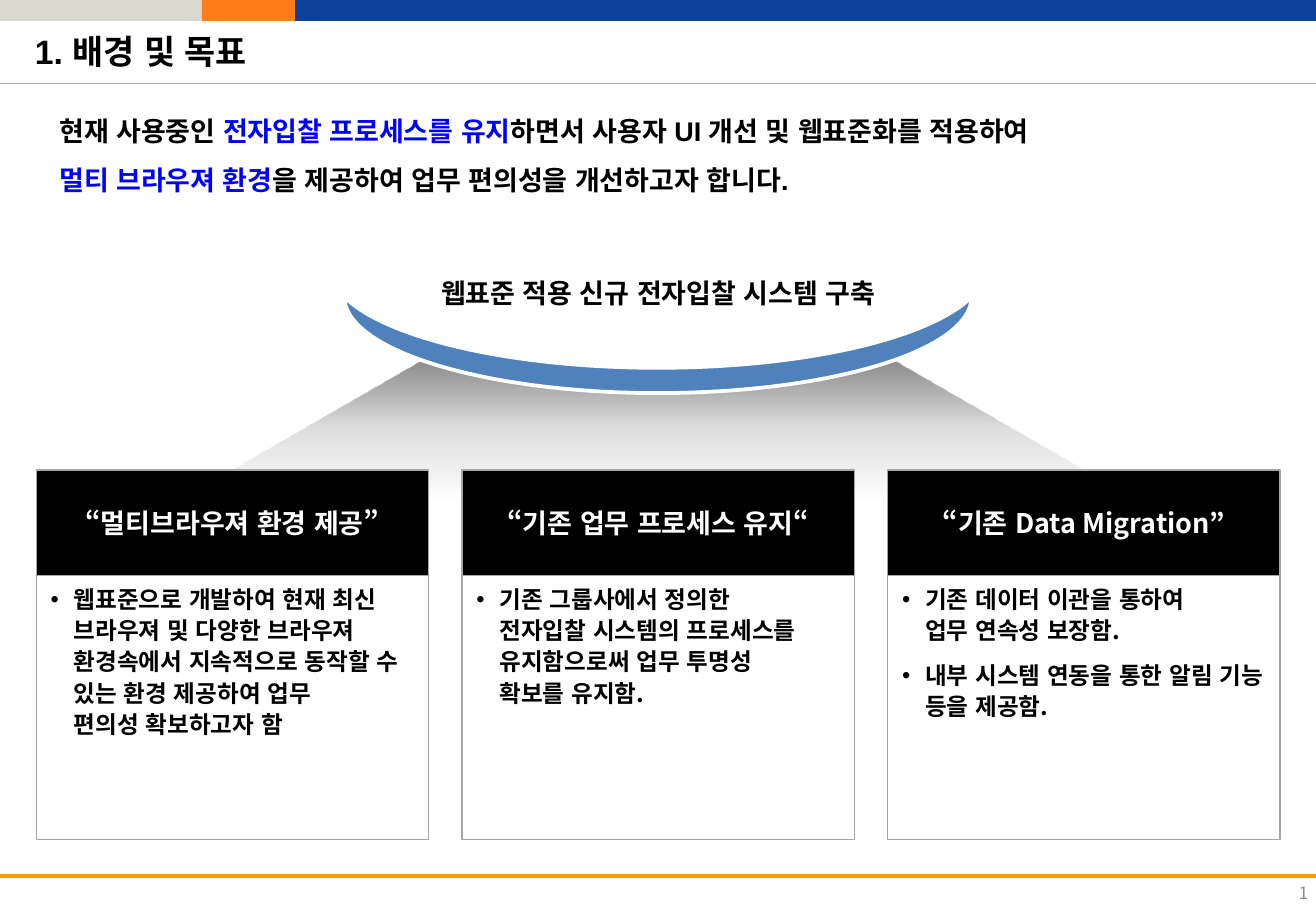
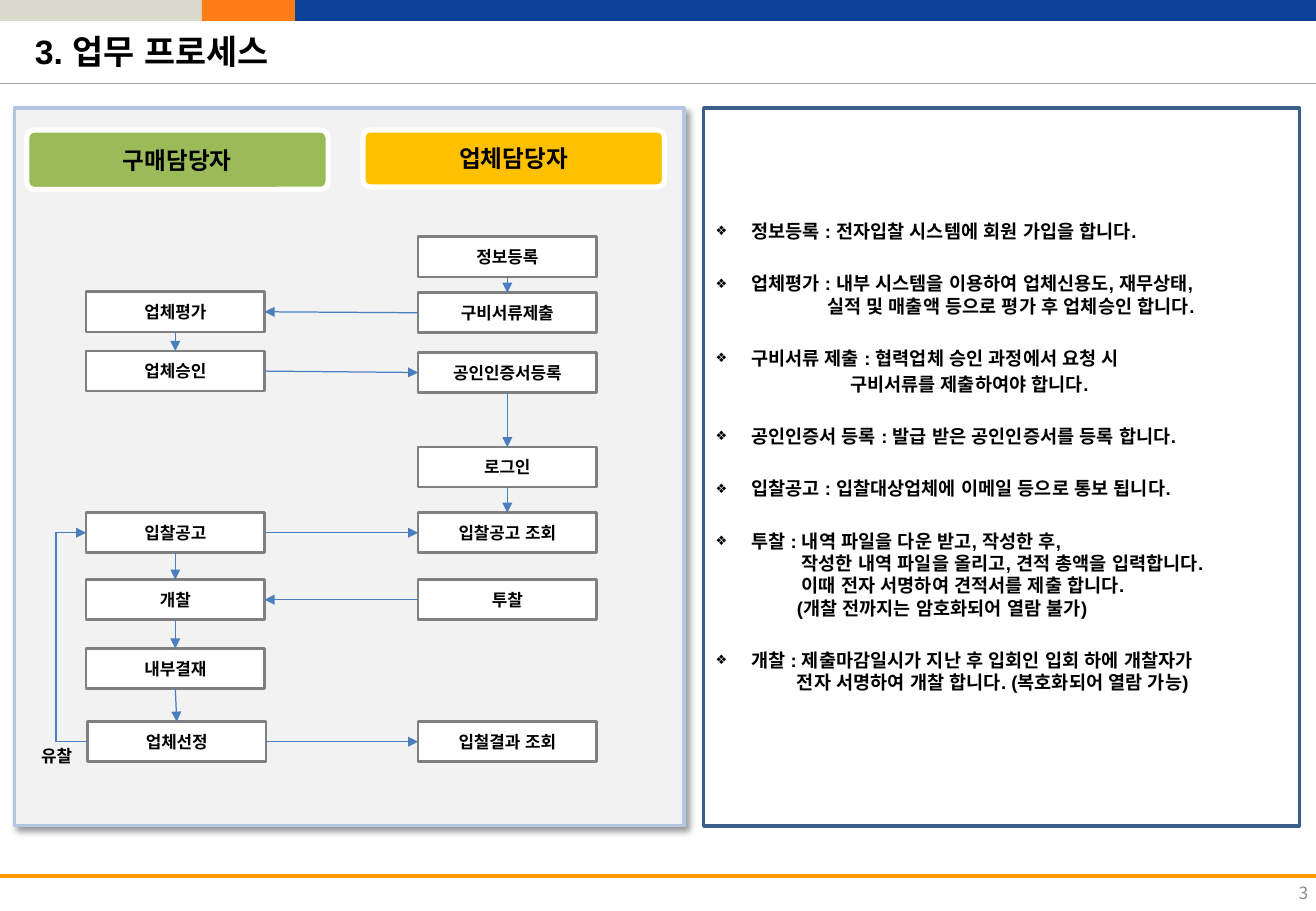
from lxml.etree import SubElement, fromstring
from pptx import Presentation
from pptx.dml.color import RGBColor
from pptx.enum.dml import MSO_LINE
from pptx.enum.lang import MSO_LANGUAGE_ID
from pptx.enum.shapes import MSO_CONNECTOR, MSO_SHAPE
from pptx.enum.text import MSO_ANCHOR, MSO_AUTO_SIZE, PP_ALIGN
from pptx.oxml.ns import nsdecls, qn
from pptx.util import Cm, Pt

WIDE, HIGH = 27.51, 19.05
ARIAL, NOTO = "Arial", "Noto Sans CJK KR"
COLORS = {
    "black": "000000", "white": "FFFFFF", "blue": "0000FF", "gray": "8C8C8C",
    "rule": "A6A6A6", "sand": "D9D9CE", "orange": "FE7D19", "navy": "0C419A",
    "foot": "FF9900", "fan": "858585", "moon": "4F81BD", "panel": "F2F2F2",
    "edge": "B0C6E1", "frame": "3A5F8C", "green": "9BBB59", "gold": "FFC000",
    "box": "808080", "arrow": "4B7EBC",
}
TOP, LEFT, BOTTOM, RIGHT = range(4)

CARDS = [
    ("“멀티브라우져 환경 제공”",
     ["웹표준으로 개발하여 현재 최신 브라우져 및 다양한 브라우져 환경속에서 "
      "지속적으로 동작할 수 있는 환경 제공하여 업무\n편의성 확보하고자 함"]),
    ("“기존 업무 프로세스 유지“",
     ["기존 그룹사에서 정의한\n전자입찰 시스템의 프로세스를\n"
      "유지함으로써 업무 투명성\n확보를 유지함."]),
    ("“기존 Data Migration”",
     ["기존 데이터 이관을 통하여\n업무 연속성 보장함.",
      "내부 시스템 연동을 통한 알림 기능 등을 제공함."]),
]

# Left edge and top of each step
STEPS = {
    "정보등록": (8.74, 4.95), "구비서류제출": (8.74, 6.12),
    "공인인증서등록": (8.74, 7.37), "로그인": (8.74, 9.35),
    "입찰공고 조회": (8.74, 10.72), "투찰": (8.74, 12.12),
    "입철결과 조회": (8.74, 15.09),
    "업체평가": (1.8, 6.1), "업체승인": (1.8, 7.34), "입찰공고": (1.8, 10.72),
    "개찰": (1.8, 12.12), "내부결재": (1.8, 13.56), "업체선정": (1.83, 15.09),
}
LINKS = [
    ("정보등록", BOTTOM, "구비서류제출", TOP),
    ("구비서류제출", LEFT, "업체평가", RIGHT),
    ("업체평가", BOTTOM, "업체승인", TOP),
    ("업체승인", RIGHT, "공인인증서등록", LEFT),
    ("공인인증서등록", BOTTOM, "로그인", TOP),
    ("로그인", BOTTOM, "입찰공고 조회", TOP),
    ("입찰공고", RIGHT, "입찰공고 조회", LEFT),
    ("입찰공고", BOTTOM, "개찰", TOP),
    ("투찰", LEFT, "개찰", RIGHT),
    ("개찰", BOTTOM, "내부결재", TOP),
    ("내부결재", BOTTOM, "업체선정", TOP),
    ("업체선정", RIGHT, "입철결과 조회", LEFT),
]

# Each term, then its further lines as (text, indent, space before)
TERMS = [
    ("정보등록 : 전자입찰 시스템에 회원 가입을 합니다.", []),
    ("업체평가 : 내부 시스템을 이용하여 업체신용도, 재무상태,",
     [("실적 및 매출액 등으로 평가 후 업체승인 합니다.", 2.33, 0)]),
    ("구비서류 제출 : 협력업체 승인 과정에서 요청 시",
     [("구비서류를 제출하여야 합니다.", 2.81, 2.2)]),
    ("공인인증서 등록 : 발급 받은 공인인증서를 등록 합니다.", []),
    ("입찰공고 : 입찰대상업체에 이메일 등으로 통보 됩니다.", []),
    ("투찰 : 내역 파일을 다운 받고, 작성한 후,",
     [("작성한 내역 파일을 올리고, 견적 총액을 입력합니다.", 1.8, 0),
      ("이때 전자 서명하여 견적서를 제출 합니다.", 1.8, 0),
      ("(개찰 전까지는 암호화되어 열람 불가)", 1.7, 0)]),
    ("개찰 : 제출마감일시가 지난 후 입회인 입회 하에 개찰자가",
     [("전자 서명하여 개찰 합니다. (복호화되어 열람 가능)", 1.7, 0)]),
]


def rgb(name):
    return RGBColor.from_string(COLORS[name])


def place(shape, x, y, w, h):
    shape.left, shape.top, shape.width, shape.height = map(Cm, (x, y, w, h))


def setup(shape, anchor=MSO_ANCHOR.MIDDLE, wrap=True, inset=(0.25, 0.13, 0.25, 0.13)):
    frame = shape.text_frame
    frame.auto_size = MSO_AUTO_SIZE.NONE
    frame.word_wrap, frame.vertical_anchor = wrap, anchor
    (frame.margin_left, frame.margin_top,
     frame.margin_right, frame.margin_bottom) = map(Cm, inset)
    return frame


def write(frame, text, size=10, font=NOTO, color="black", bold=True,
          align=PP_ALIGN.LEFT, line=None, gap=0, mark=None, zoom=100,
          margin=0, indent=0):
    """Add a paragraph; text is a string or a list of (string, colour)."""
    first = not frame.text
    para = frame.paragraphs[0] if first else frame.add_paragraph()
    props = para._p.get_or_add_pPr()
    props.set("marL", str(Cm(margin)))
    props.set("indent", str(Cm(indent)))
    if mark:
        SubElement(props, qn("a:buSzPct")).set("val", str(zoom * 1000))
        SubElement(props, qn("a:buFont")).set("typeface", ARIAL)
        SubElement(props, qn("a:buChar")).set("char", mark)
    else:
        SubElement(props, qn("a:buNone"))
    para.alignment = align
    para.space_before = Pt(0 if first else gap)
    if line:
        para.line_spacing = Pt(line)
    for piece, tone in [(text, color)] if isinstance(text, str) else text:
        for i, part in enumerate(piece.split("\n")):
            if i:
                para.add_line_break()
            run = para.add_run()
            run.text = part
            style = run.font
            style.size, style.bold, style.name = Pt(size), bold, font
            style.language_id = MSO_LANGUAGE_ID.KOREAN
            style.color.rgb = rgb(tone)
            SubElement(run._r.rPr, qn("a:ea")).set("typeface", NOTO)


def paint(shape, fill=None, edge=None, width=0.75):
    if fill:
        shape.fill.solid()
        shape.fill.fore_color.rgb = rgb(fill)
    else:
        shape.fill.background()
    if edge:
        shape.line.color.rgb = rgb(edge)
        shape.line.width = Pt(width)
    else:
        shape.line.fill.background()


def draw(slide, kind, x, y, w, h, fill=None, edge=None, width=0.75, adjust=None):
    shape = slide.shapes.add_shape(kind, Cm(x), Cm(y), Cm(w), Cm(h))
    shape.shadow.inherit = False
    paint(shape, fill, edge, width)
    if adjust is not None:
        shape.adjustments[0] = adjust
    return shape


def label(slide, x, y, w, h, text, wrap=True, inset=(0.1, 0.1, 0.1, 0.1), **style):
    box = slide.shapes.add_textbox(Cm(x), Cm(y), Cm(w), Cm(h))
    write(setup(box, wrap=wrap, inset=inset), text, **style)


def join(slide, start, end, color, width, kind=MSO_CONNECTOR.STRAIGHT, head=False):
    """Draw a line between two points or two (shape, site) pairs."""
    line = slide.shapes.add_connector(kind, 0, 0, 0, 0)
    if head:
        line.begin_connect(*start)
        line.end_connect(*end)
    else:
        line.begin_x, line.begin_y = map(Cm, start)
        line.end_x, line.end_y = map(Cm, end)
    line.line.color.rgb = rgb(color)
    line.line.width = Pt(width)
    line.line.dash_style = MSO_LINE.SOLID
    props = line.element.spPr
    if head:
        SubElement(props.find(qn("a:ln")), qn("a:tailEnd")).set("type", "triangle")
    SubElement(props, qn("a:effectLst"))
    return line


def brand(slide):
    """Draw bands and rules, and move them to the shared layout."""
    parts = [draw(slide, MSO_SHAPE.RECTANGLE, x, 0, WIDE - x, 0.44, fill)
             for x, fill in ((0, "sand"), (4.22, "orange"), (6.17, "navy"))]
    parts += [join(slide, (0, y), (WIDE, y), color, width)
              for y, color, width in ((1.73, "rule", 0.25), (18.31, "foot", 2.5))]
    for i, part in enumerate(parts):
        part.element.xpath(".//p:cNvPr")[0].set("id", str(20 + i))
        slide.slide_layout.shapes.element.append(part.element)


def start(deck, title, page):
    slide = deck.slides.add_slide(deck.slide_layouts[1])
    head = slide.shapes.title
    place(head, 0, 0.5, 27.48, 1.12)
    write(setup(head), title, size=20, font=ARIAL, indent=0.48)
    label(slide, 21.2, 18.16, 6.31, 1.02, page, inset=(0.25, 0.13, 0.16, 0.13),
          color="gray", bold=False, align=PP_ALIGN.RIGHT)
    return slide, slide.placeholders[1]


def shade(shape):
    """Fade the fan from solid at the top to clear."""
    stops = "".join(
        f'<a:gs pos="{pos}000"><a:srgbClr val="{COLORS["fan"]}">'
        f'<a:alpha val="{alpha}000"/></a:srgbClr></a:gs>'
        for pos, alpha in ((0, 100), (50, 27), (100, 0)))
    props = shape.element.spPr
    old = props.find(qn("a:noFill"))
    props.replace(old, fromstring(
        f'<a:gradFill {nsdecls("a")} rotWithShape="1"><a:gsLst>{stops}</a:gsLst>'
        '<a:lin ang="5400000" scaled="0"/></a:gradFill>'))


def lift(shape):
    """Give the panel a soft shadow."""
    glow = SubElement(shape.element.spPr.find(qn("a:effectLst")), qn("a:outerShdw"),
                      blurRad=str(Pt(4)), dist=str(Pt(3)), dir="2700000",
                      algn="tl", rotWithShape="0")
    tone = SubElement(glow, qn("a:srgbClr"), val=COLORS["black"])
    SubElement(tone, qn("a:alpha"), val="40000")


def card(slide, x, title, points):
    body = draw(slide, MSO_SHAPE.RECTANGLE, x, 12.04, 8.2, 5.51, edge="rule")
    frame = setup(body, MSO_ANCHOR.TOP, inset=(0.3, 0.13, 0.2, 0.13))
    for point in points:
        write(frame, point, size=14, line=18.5, gap=8, mark="•",
              margin=0.48, indent=-0.48)
    head = draw(slide, MSO_SHAPE.RECTANGLE, x, 9.83, 8.2, 2.21, "black", "rule")
    write(setup(head, inset=(0.2, 0.13, 0.2, 0.13)), title, size=16,
          color="white", align=PP_ALIGN.CENTER)


def goals(deck):
    slide, intro = start(deck, "1. 배경 및 목표", "1")
    brand(slide)
    place(intro, 0.99, 2.13, 24.77, 2.2)
    frame = setup(intro, MSO_ANCHOR.TOP)
    for runs in (
        [("현재 사용중인 ", "black"), ("전자입찰 프로세스를 유지", "blue"),
         ("하면서 사용자 UI 개선 및 웹표준화를 적용하여", "black")],
        [("멀티 브라우져 환경", "blue"),
         ("을 제공하여 업무 편의성을 개선하고자 합니다.", "black")],
    ):
        write(frame, runs, size=16, font=ARIAL, line=23, gap=6)
    # Fan and cards
    shade(draw(slide, MSO_SHAPE.TRAPEZOID, 3.76, 7.44, 19.99, 3, adjust=1.75))
    for i, (title, points) in enumerate(CARDS):
        card(slide, 0.76 + 8.9 * i, title, points)
    # Crescent
    for y, fill in ((0.41, "white"), (0.66, "moon")):
        draw(slide, MSO_SHAPE.MOON, 12.75, y, 2.01, 13.11, fill, "white", 2.25,
             0.263).rotation = 270
    label(slide, 7.09, 4.78, 13.34, 2.46, "웹표준 적용 신규 전자입찰 시스템 구축",
          size=16, align=PP_ALIGN.CENTER, line=25)


def process(deck):
    slide, notes = start(deck, "3. 업무 프로세스", "3")
    lift(draw(slide, MSO_SHAPE.RECTANGLE, 0.3, 2.26, 14, 15.01, "panel", "edge", 2))
    # Roles
    for x, h, fill, text in ((0.56, 1.24, "green", "구매담당자"),
                             (7.59, 1.19, "gold", "업체담당자")):
        role = draw(slide, MSO_SHAPE.ROUNDED_RECTANGLE, x, 2.72, 6.3, h, fill,
                    "white", 3, 0.126)
        write(setup(role, wrap=False), text, size=14, align=PP_ALIGN.CENTER)
    # Terms
    place(notes, 14.71, 2.26, 12.45, 15.01)
    paint(notes, edge="frame", width=2)
    frame = setup(notes, inset=(0.25, 0.13, 0.25, 0.55))
    style = dict(size=11, font=ARIAL, line=13.3)
    for term, more in TERMS:
        write(frame, term, gap=17.6, mark="❖", zoom=70, margin=0.74,
              indent=-0.74, **style)
        for text, margin, gap in more:
            write(frame, text, gap=gap, margin=margin, **style)
    # Steps and arrows
    boxes = {}
    for text, (x, y) in STEPS.items():
        boxes[text] = draw(slide, MSO_SHAPE.RECTANGLE, x, y, 3.73, 0.84,
                           "white", "box", 1.5)
        write(setup(boxes[text], wrap=False), text, align=PP_ALIGN.CENTER)
    for begin, exit, end, entry in LINKS:
        join(slide, (boxes[begin], exit), (boxes[end], entry), "arrow", 0.75, head=True)
    # Return path, bent to the left of both boxes
    back = join(slide, (boxes["업체선정"], LEFT), (boxes["입찰공고"], LEFT),
                "arrow", 0.75, MSO_CONNECTOR.ELBOW, True)
    props = back.element.spPr
    turn = props.find(qn("a:xfrm"))
    for flip in ("flipH", "flipV"):
        turn.attrib.pop(flip, None)
    turn.set("rot", "10800000")
    SubElement(props.find(qn("a:prstGeom")).find(qn("a:avLst")), qn("a:gd"),
               name="adj1", fmla="val 2200000")
    label(slide, 0.61, 15.47, 2.39, 0.69, "유찰", inset=(0.25, 0.13, 0.25, 0.13))


def main():
    deck = Presentation()
    deck.slide_width, deck.slide_height = Cm(WIDE), Cm(HIGH)
    goals(deck)
    process(deck)
    deck.save("out.pptx")


if __name__ == "__main__":
    main()
